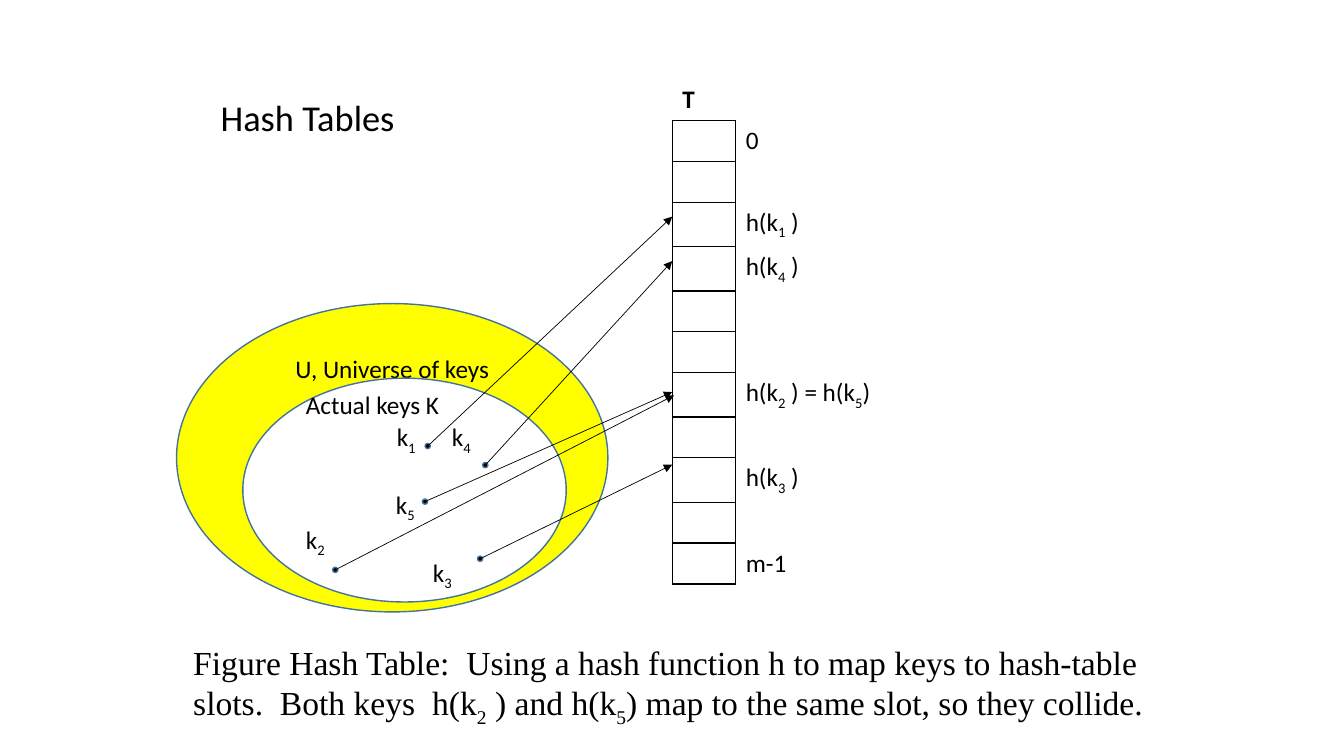
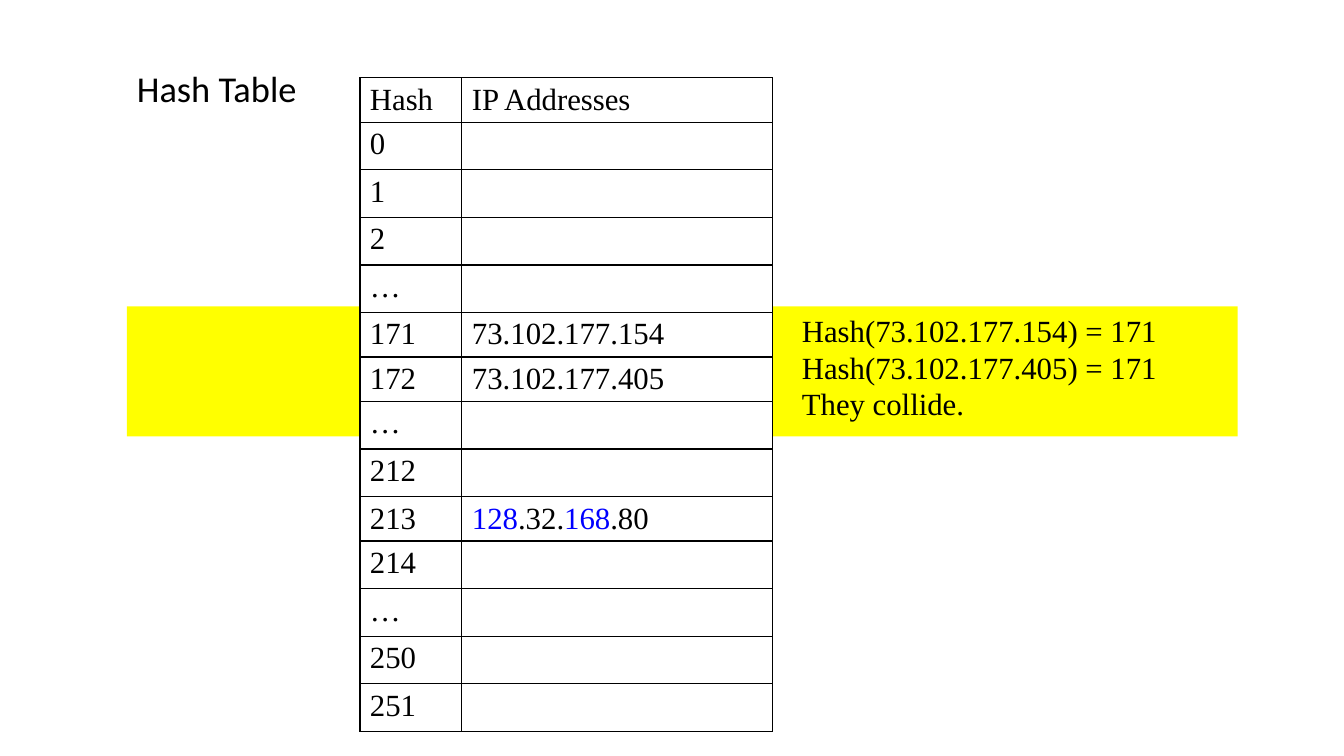
from pptx import Presentation
from pptx.dml.color import RGBColor
from pptx.enum.shapes import MSO_CONNECTOR as LINE, MSO_SHAPE as SHAPE
from pptx.enum.text import MSO_ANCHOR as ANCHOR, PP_ALIGN as ALIGN
from pptx.oxml.ns import qn
from pptx.util import Cm, Pt
from lxml.etree import SubElement

COLORS = {"ink": "000000", "paper": "FFFFFF", "yellow": "FFFF00",
          "outline": "43739E", "blue": "0000FF"}
RGB = {name: RGBColor.from_string(value) for name, value in COLORS.items()}
SANS = {"size": 18, "font": "Calibri"}
TITLE = {"size": 26, "font": "Calibri"}
CAPTION = {"size": 24, "font": "Times New Roman"}
SERIF = {"size": 22, "font": "Times New Roman"}


def write(tf, text, size=18, font="Calibri", bold=False, align=ALIGN.LEFT, accent=None):
    for n, line in enumerate(text.split("\n")):
        p = tf.add_paragraph() if n else tf.paragraphs[0]
        p.alignment = align
        p.font.size = Pt(size)
        for i, part in enumerate(line.split("|")):
            if not part:
                continue
            r = p.add_run()
            r.text = part
            r.font.size, r.font.name, r.font.bold = Pt(size), font, bold
            marked = i % 2 == 1
            r.font.color.rgb = RGB[accent if marked and accent else "ink"]
            if marked and not accent:
                r.font._element.set("baseline", "-25000")


prs = Presentation()
prs.slide_width, prs.slide_height = Cm(33.87), Cm(19.05)
keys_slide, address_slide = [prs.slides.add_slide(prs.slide_layouts[6]) for _ in range(2)]

keys = [
    ("k|1|", 9.75, 10.5, 10.78, 11.24, 16.94, 5.46),
    ("k|4|", 11.14, 10.5, 12.23, 11.72, 16.94, 6.58),
    ("k|5|", 9.73, 12.2, 10.71, 12.64, 16.94, 9.88),
    ("k|2|", 7.46, 13.08, 8.45, 14.36, 16.99, 9.96),
    ("k|3|", 10.66, 13.92, 12.1, 14.08, 16.94, 11.71),
]
DOT = 0.13

shapes = [
    (keys_slide, SHAPE.OVAL, 4.45, 7.65, 10.87, 7.77, "yellow", "U, Universe of keys"),
    (keys_slide, SHAPE.OVAL, 6.12, 9.53, 8.15, 5.64, "paper", ""),
    (address_slide, SHAPE.RECTANGLE, 3.2, 7.72, 27.99, 3.28, "yellow", ""),
]
for _, _, _, x, y, _, _ in keys:
    shapes.append((keys_slide, SHAPE.OVAL, x - DOT / 2, y - DOT / 2, DOT, DOT, "ink", ""))
for s, kind, x, y, w, h, color, text in shapes:
    sp = s.shapes.add_shape(kind, Cm(x), Cm(y), Cm(w), Cm(h))
    sp.shadow.inherit = False
    sp.fill.solid()
    sp.fill.fore_color.rgb = RGB[color]
    if kind == SHAPE.OVAL:
        sp.line.color.rgb = RGB["outline"]
        sp.line.width = Pt(1)
    else:
        sp.line.fill.background()
    if text:
        sp.text_frame.vertical_anchor = ANCHOR.TOP
        write(sp.text_frame, text, align=ALIGN.CENTER, **SANS)

slots = ["0", "", "h(k|1| )", "h(k|4| )", "", "", "h(k|2| ) = h(k|5|)", "",
         "h(k|3| )", "", "m-1"]
slot_rows = [("T", "")] + [("", slot) for slot in slots]
addresses = {"171": "73.102.177.154", "172": "73.102.177.405", "213": "|128|.32.|168|.80"}
hashes = ["0", "1", "2", "…", "171", "172", "…", "212", "213", "214", "…", "250", "251"]
address_rows = [("Hash", "IP Addresses")] + [(h, addresses.get(h, "")) for h in hashes]

tables = [
    (keys_slide, 16.94, 2.01, (1.6, 5.61), 1.03, slot_rows, SANS,
     {(0, 0): "B", (0, 1): ""}, ("LRTB", "L")),
    (address_slide, 9.07, 1.96, (2.57, 7.82), 1.12, address_rows, {**SERIF, "accent": "blue"},
     {}, ("LRTB", "LRTB")),
]
for s, x, y, widths, height, rows, style, corner_edges, column_edges in tables:
    table = s.shapes.add_table(len(rows), len(widths), Cm(x), Cm(y),
                               Cm(sum(widths)), Cm(height * len(rows))).table
    table.first_row = table.horz_banding = False
    for column, width in zip(table.columns, widths):
        column.width = Cm(width)
    for i, row in enumerate(rows):
        table.rows[i].height = Cm(height)
        for j, text in enumerate(row):
            cell = table.cell(i, j)
            edges = corner_edges.get((i, j), column_edges[j])
            tcPr = cell._tc.get_or_add_tcPr()
            for side in "LRTB":
                ln = SubElement(tcPr, qn("a:ln" + side), w=str(Pt(1)))
                if side in edges:
                    fill = SubElement(ln, qn("a:solidFill"))
                    SubElement(fill, qn("a:srgbClr"), val=COLORS["ink"])
                else:
                    SubElement(ln, qn("a:noFill"))
            cell.fill.solid()
            cell.fill.fore_color.rgb = RGB["paper"]
            write(cell.text_frame, text, bold=text == "T", **style)

for _, _, _, x, y, slot_x, slot_y in keys:
    arrow = keys_slide.shapes.add_connector(LINE.STRAIGHT, Cm(x), Cm(y), Cm(slot_x), Cm(slot_y))
    arrow.line.color.rgb = RGB["ink"]
    arrow.line.width = Pt(0.5)
    SubElement(arrow.line._get_or_add_ln(), qn("a:tailEnd"), type="triangle")
    SubElement(arrow._element.spPr, qn("a:effectLst"))

caption = ("Figure Hash Table:  Using a hash function h to map keys to hash-table slots.  "
           "Both keys  h(k|2| ) and h(k|5|) map to the same slot, so they collide.")
collision = "Hash(73.102.177.154) = 171\nHash(73.102.177.405) = 171\nThey collide."
texts = [
    (keys_slide, 5.31, 2.26, 4.93, 1.37, "Hash Tables", TITLE),
    (keys_slide, 4.62, 16.05, 24.64, 3, caption, CAPTION),
    (keys_slide, 7.46, 9.69, 4, 1.03, "Actual keys K", SANS),
    (address_slide, 3.2, 1.55, 4.57, 1.37, "Hash Table", TITLE),
    (address_slide, 19.96, 7.72, 11.51, 3.07, collision, SERIF),
]
texts += [(keys_slide, x, y, 1.2, 1.03, name, SANS) for name, x, y, *_ in keys]
for s, x, y, w, h, text, style in texts:
    tf = s.shapes.add_textbox(Cm(x), Cm(y), Cm(w), Cm(h)).text_frame
    tf.word_wrap = style is not TITLE
    write(tf, text, **style)

prs.save("out.pptx")
